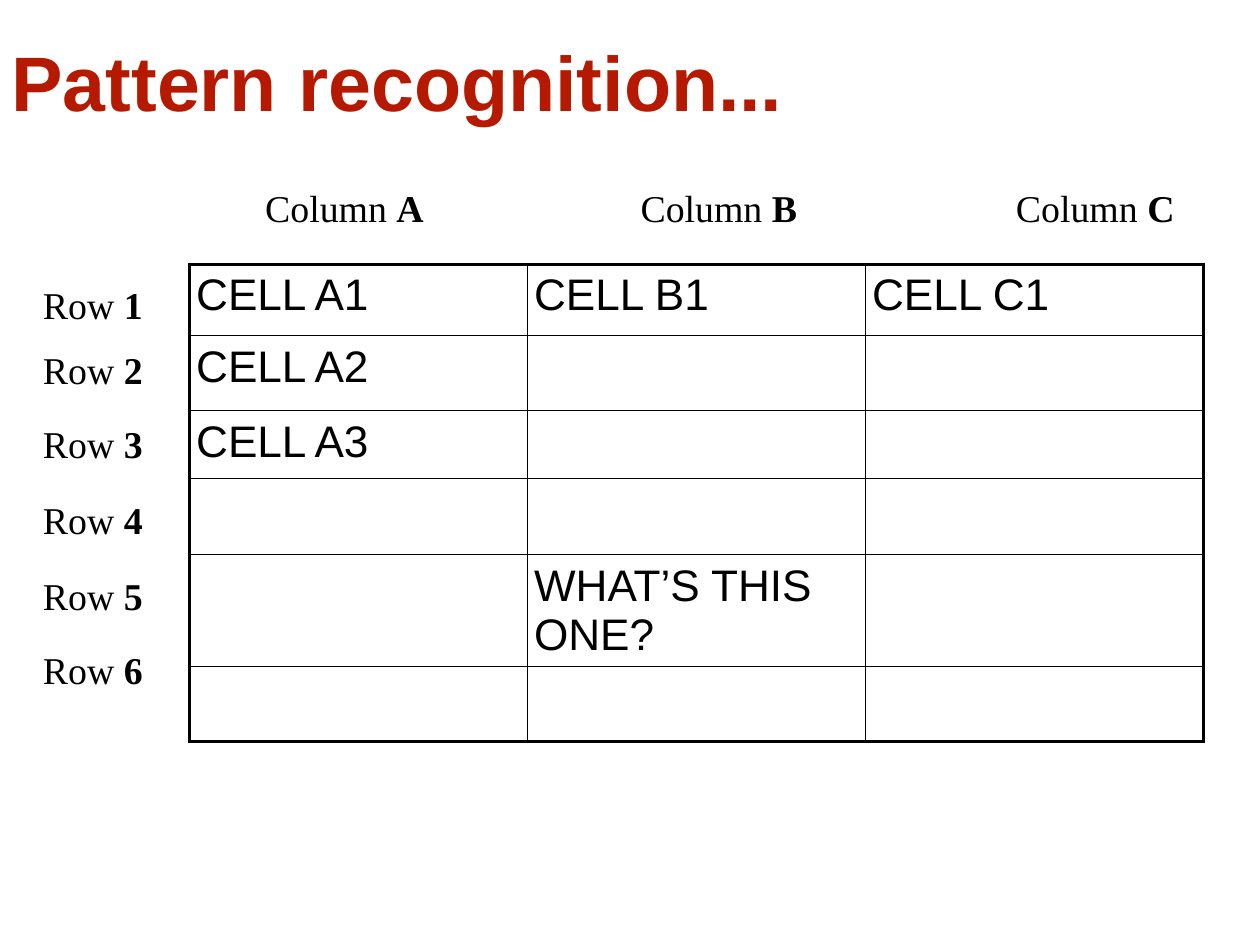
from lxml.etree import SubElement
from pptx import Presentation
from pptx.dml.color import RGBColor
from pptx.enum.text import MSO_ANCHOR, PP_ALIGN
from pptx.oxml.ns import qn
from pptx.util import Inches, Pt

TITLE = "Pattern recognition..."
COLS = ["A", "B", "C"]
ROWS = [(0.63, 2.42), (0.66, 3), (0.6, 3.65), (0.67, 4.32), (0.66, 4.99), (0.66, 5.64)]
CELLS = {
    (0, 0): "CELL A1", (0, 1): "CELL B1", (0, 2): "CELL C1",
    (1, 0): "CELL A2", (2, 0): "CELL A3", (4, 1): "WHAT’S THIS ONE?",
}
BLACK = RGBColor(0, 0, 0)
RED = RGBColor(0xB5, 0x1A, 0x00)
LEFT, TOP, WIDE = 1.67, 2.33, 2.98
PAD = 0.06
THIN, THICK = 1, 2.25


def add_run(para, text, font, size, color, bold=False):
    run = para.add_run()
    run.text = text
    run.font.name = font
    run.font.size = Pt(size)
    run.font.bold = bold
    run.font.color.rgb = color


def set_pads(item, left, rest):
    item.margin_left = Inches(left)
    item.margin_top = item.margin_right = item.margin_bottom = Inches(rest)


def add_label(slide, word, mark, x, y, width):
    frame = slide.shapes.add_textbox(
        Inches(x), Inches(y), Inches(width), Inches(0.47)).text_frame
    frame.word_wrap = True
    set_pads(frame, PAD + 0.04, PAD)
    para = frame.paragraphs[0]
    add_run(para, word + " ", "Times New Roman", 24, BLACK)
    add_run(para, mark, "Times New Roman", 24, BLACK, True)


def add_edges(cell, sides):
    props = cell._tc.get_or_add_tcPr()
    for side, outer in sides.items():
        line = SubElement(props, qn("a:ln" + side), w=str(Pt(THICK if outer else THIN)))
        fill = SubElement(line, qn("a:solidFill"))
        SubElement(fill, qn("a:srgbClr"), val=str(BLACK))


def add_grid(slide):
    high = sum(height for height, _ in ROWS)
    table = slide.shapes.add_table(
        len(ROWS), len(COLS), Inches(LEFT), Inches(TOP),
        Inches(WIDE * len(COLS)), Inches(high)).table
    table.first_row = table.horz_banding = False
    for col in table.columns:
        col.width = Inches(WIDE)
    for r, (height, _) in enumerate(ROWS):
        table.rows[r].height = Inches(height)
        for c in range(len(COLS)):
            cell = table.cell(r, c)
            set_pads(cell, PAD, PAD)
            add_edges(cell, {"L": c == 0, "R": c == len(COLS) - 1,
                             "T": r == 0, "B": r == len(ROWS) - 1})
            cell.fill.background()
            if (r, c) in CELLS:
                add_run(cell.text_frame.paragraphs[0], CELLS[r, c], "Arial", 28, BLACK)


def add_title(slide):
    title = slide.shapes.title
    title.left, title.top = Inches(0.1), Inches(0.36)
    title.width, title.height = Inches(10.64), Inches(2.09)
    frame = title.text_frame
    frame.vertical_anchor = MSO_ANCHOR.TOP
    set_pads(frame, 0, 0)
    para = frame.paragraphs[0]
    para.alignment = PP_ALIGN.LEFT
    para.line_spacing = 0.95
    add_run(para, TITLE, "Arial", 49, RED, True)


def main():
    deck = Presentation()
    deck.slide_width, deck.slide_height = Inches(11.11), Inches(8.33)
    slide = deck.slides.add_slide(deck.slide_layouts[5])
    add_title(slide)
    add_grid(slide)
    for i, mark in enumerate(COLS):
        add_label(slide, "Column", mark, 2.24 + 3.31 * i, 1.57, 1.75)
    for i, (_, y) in enumerate(ROWS, 1):
        add_label(slide, "Row", str(i), 0.28, y, 1.39)
    deck.save("out.pptx")


if __name__ == "__main__":
    main()
